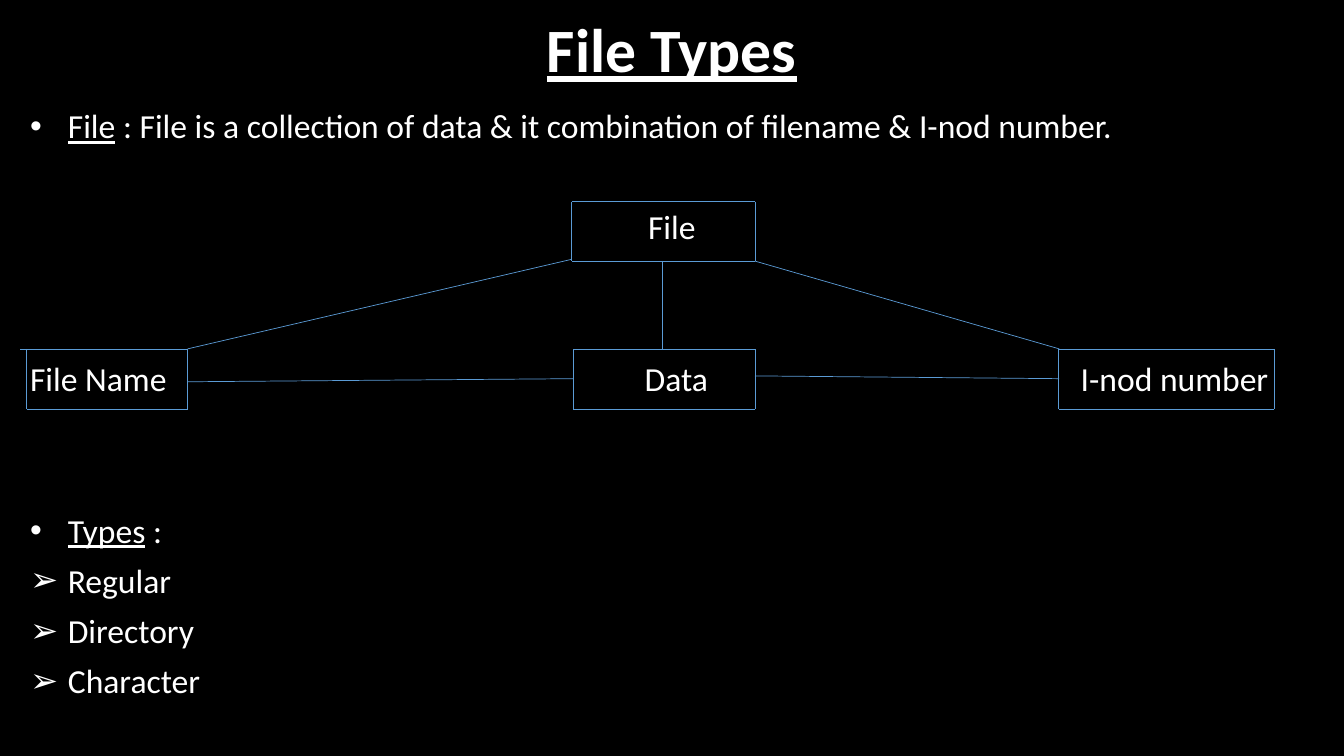
from lxml import etree
from pptx import Presentation
from pptx import util as u
from pptx.dml.color import RGBColor
from pptx.enum import shapes, text
from pptx.oxml import ns

BLACK = RGBColor(0x00, 0x00, 0x00)
WHITE = RGBColor(0xFF, 0xFF, 0xFF)
BLUE = RGBColor(0x5B, 0x9B, 0xD5)


class SlideBuilder:
    font_name = "Calibri"
    body_size = 24
    title_size = 44
    line_weight = 0.5
    bullet_indent = 27

    def __init__(self, deck):
        self.page = deck.slides.add_slide(deck.slide_layouts[6])
        fill = self.page.background.fill
        fill.solid()
        fill.fore_color.rgb = BLACK

    def text_box(self, left, top, width, height, anchor):
        box = self.page.shapes.add_textbox(u.Pt(left), u.Pt(top), u.Pt(width), u.Pt(height))
        box.text_frame.word_wrap = True
        box.text_frame.vertical_anchor = anchor
        return box.text_frame

    def style(self, span, size, underline=False, bold=False):
        span.font.name = self.font_name
        span.font.size = u.Pt(size)
        span.font.color.rgb = WHITE
        span.font.underline = underline
        span.font.bold = bold

    def title(self, words, left, top, width, height):
        frame = self.text_box(left, top, width, height, text.MSO_ANCHOR.BOTTOM)
        frame.text = words
        para = frame.paragraphs[0]
        para.alignment = text.PP_ALIGN.CENTER
        para.line_spacing = 0.9
        self.style(para.runs[0], self.title_size, underline=True, bold=True)

    def paragraph(self, frame, words, term="", gap=10, bullet=None, centred=False, tabs=()):
        para = frame.add_paragraph() if frame.text else frame.paragraphs[0]
        para.line_spacing = 0.9
        para.space_before = u.Pt(gap)
        para.alignment = text.PP_ALIGN.CENTER if centred else text.PP_ALIGN.LEFT
        for part, underline in ((term, True), (words, False)):
            if part:
                span = para.add_run()
                span.text = part
                self.style(span, self.body_size, underline)
        props = para._p.get_or_add_pPr()
        if bullet:
            props.set("marL", str(u.Pt(self.bullet_indent)))
            props.set("indent", str(u.Pt(-self.bullet_indent)))
            etree.SubElement(props, ns.qn("a:buFont")).set("typeface", "Arial")
            etree.SubElement(props, ns.qn("a:buChar")).set("char", bullet)
        if tabs:
            stops = etree.SubElement(props, ns.qn("a:tabLst"))
            for position in tabs:
                stop = etree.SubElement(stops, ns.qn("a:tab"))
                stop.set("pos", str(u.Pt(position)))
                stop.set("algn", "l")

    def line(self, x1, y1, x2, y2):
        connector = self.page.shapes.add_connector(
            shapes.MSO_CONNECTOR.STRAIGHT, u.Pt(x1), u.Pt(y1), u.Pt(x2), u.Pt(y2))
        connector.line.color.rgb = BLUE
        connector.line.width = u.Pt(self.line_weight)
        etree.SubElement(connector._element.spPr, ns.qn("a:effectLst"))

    def frame(self, left, top, right, bottom, overhang=0):
        self.line(left, top, left, bottom)
        self.line(left - overhang, top, right, top)
        self.line(right, top, right, bottom)
        self.line(left, bottom, right, bottom)


def main():
    deck = Presentation()
    deck.slide_width, deck.slide_height = u.Pt(960), u.Pt(540)
    slide = SlideBuilder(deck)
    slide.title("File Types", 120, 2.2, 720, 62.6)

    body = slide.text_box(14.4, 74.9, 931, 449.3, text.MSO_ANCHOR.TOP)
    slide.paragraph(body, " : File is a collection of data & it combination of filename & I-nod number.",
                    term="File", bullet="•")
    slide.paragraph(body, "File", gap=46.2, centred=True)
    slide.paragraph(body, "File Name\tData\tI-nod number", gap=82.4, tabs=(439, 750.5))
    slide.paragraph(body, " :", term="Types", gap=82.4, bullet="•")
    for kind in ("Regular", "Directory", "Character"):
        slide.paragraph(body, kind, bullet="➢")

    slide.frame(408.5, 144, 539.3, 186.5)
    slide.frame(19, 249.2, 134, 292.3, overhang=4.6)
    slide.frame(409.3, 249.2, 539.3, 292.3)
    slide.frame(756.3, 249.2, 910, 292.3)

    for link in ((408.5, 185.2, 134, 249.2), (473, 187, 473, 249.2), (539.3, 186.5, 756.6, 249.2),
                 (134, 272.7, 409.3, 270.5), (539.3, 268.5, 756.6, 270.5)):
        slide.line(*link)

    deck.save("out.pptx")


if __name__ == "__main__":
    main()
